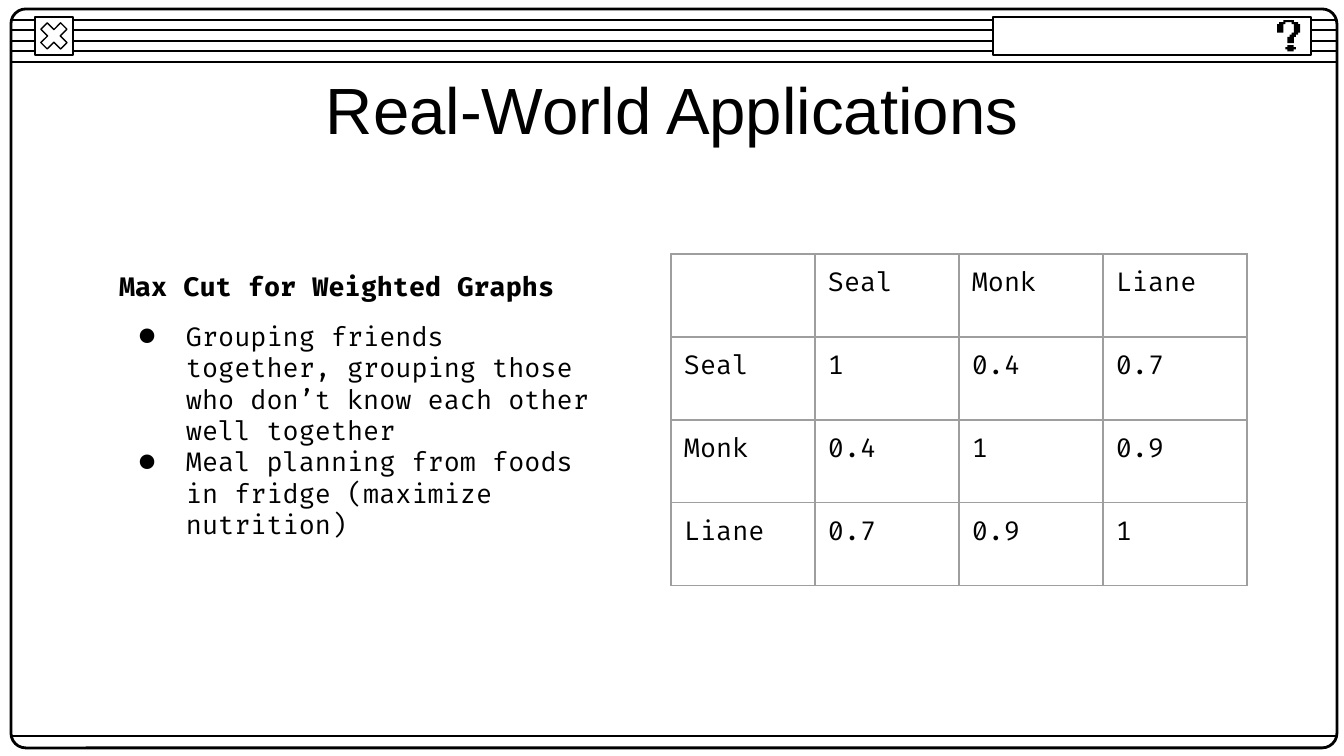
"""Build the Real-World Applications slide in a retro window frame."""
from lxml.etree import SubElement as Sub
from pptx import Presentation
from pptx.dml.color import RGBColor as Rgb
from pptx.enum.shapes import MSO_CONNECTOR as Link, MSO_SHAPE as Kind
from pptx.enum.text import MSO_ANCHOR as Anchor, PP_ALIGN as Align
from pptx.oxml.ns import qn
from pptx.util import Emu, Pt

SCALE = 914400 / 134.4
CELL = 2.1
INK = {"black": "000000", "white": "FFFFFF", "grey": "9E9E9E"}
CODE = "Fira Code"

HOOK = [(3, 0), (3, 1), (1, 1), (1, 2), (0, 2), (0, 6), (3, 6), (3, 2),
        (4, 2), (4, 1), (7, 1), (7, 2), (8, 2), (8, 6), (7, 6), (7, 7),
        (6, 7), (6, 8), (5, 8), (5, 11), (8, 11), (8, 8), (9, 8), (9, 7),
        (10, 7), (10, 6), (11, 6), (11, 2), (10, 2), (10, 1), (8, 1), (8, 0)]
DOT = [(5, 12), (5, 13), (4, 13), (4, 14), (5, 14), (5, 15),
       (8, 15), (8, 14), (9, 14), (9, 13), (8, 13), (8, 12)]
ITEMS = ["Grouping friends together, grouping those who don’t know each other well together",
         "Meal planning from foods in fridge (maximize nutrition)"]
ROWS = [["", "Seal", "Monk", "Liane"],
        ["Seal", "1", "0.4", "0.7"],
        ["Monk", "0.4", "1", "0.9"],
        ["Liane", "0.7", "0.9", "1"]]


def px(size):
    return Emu(round(size * SCALE))


def ink(name):
    return Rgb.from_string(INK[name])


def put(para, text, size=14, font=CODE, bold=False, align=Align.LEFT, before=0):
    para.alignment = align
    para.space_before = Pt(before)
    run = para.add_run()
    run.text = text
    run.font.size = Pt(size)
    run.font.name = font
    run.font.bold = bold
    run.font.color.rgb = ink("black")


def bullet(para):
    props = para._p.get_or_add_pPr()
    props.set("marL", str(px(67)))
    props.set("indent", str(px(-47)))
    tint = Sub(props, qn("a:buClr"))
    Sub(tint, qn("a:srgbClr"), val=INK["black"])
    Sub(props, qn("a:buFont"), typeface=CODE)
    Sub(props, qn("a:buChar"), char="●")


def pad(area, foot=13):
    area.margin_left = area.margin_right = area.margin_top = px(13)
    area.margin_bottom = px(foot)


def text_box(slide, x, y, w, h, foot=13):
    frame = slide.shapes.add_textbox(*map(px, (x, y, w, h))).text_frame
    frame.word_wrap = True
    frame.vertical_anchor = Anchor.MIDDLE
    pad(frame, foot)
    return frame


def rule(slide, y):
    line = slide.shapes.add_connector(Link.STRAIGHT, px(11), px(y), px(1337), px(y))
    line.line.color.rgb = ink("black")
    line.line.width = Pt(0.75)
    Sub(line._element.spPr, qn("a:effectLst"))


def panel(slide, kind, x, y, w, h, fill="white", width=0.75, adj=None):
    shape = slide.shapes.add_shape(kind, *map(px, (x, y, w, h)))
    shape.shadow.inherit = False
    if fill:
        shape.fill.solid()
        shape.fill.fore_color.rgb = ink(fill)
    else:
        shape.fill.background()
    shape.line.color.rgb = ink("black")
    shape.line.width = Pt(width)
    if adj is not None:
        shape.adjustments[0] = adj


def glyph(slide, points, x, y):
    path = slide.shapes.build_freeform(*points[0], scale=CELL * SCALE)
    path.add_line_segments(points[1:], close=True)
    shape = path.convert_to_shape(px(x), px(y))
    shape.shadow.inherit = False
    shape.fill.solid()
    shape.fill.fore_color.rgb = ink("black")
    shape.line.fill.background()


def border(cell):
    props = cell._tc.get_or_add_tcPr()
    for side in "LRTB":
        edge = Sub(props, qn(f"a:ln{side}"), w=str(Pt(0.75)))
        fill = Sub(edge, qn("a:solidFill"))
        Sub(fill, qn("a:srgbClr"), val=INK["grey"])


def grid(slide, rows, x, y, w, h):
    count, wide = len(rows), len(rows[0])
    frame = slide.shapes.add_table(count, wide, px(x), px(y), px(w * wide), px(h * count))
    table = frame.table
    table.first_row = table.horz_banding = False
    for r, row in enumerate(rows):
        for c, text in enumerate(row):
            cell = table.cell(r, c)
            pad(cell)
            border(cell)
            cell.fill.background()
            if text:
                put(cell.text_frame.paragraphs[0], text)


def window(slide):
    for i in range(5):
        rule(slide, 20 + i * 42 // 4)
    panel(slide, Kind.ROUNDED_RECTANGLE, 11, 9, 1326, 739, fill=None, width=1.5, adj=0.02)
    panel(slide, Kind.RECTANGLE, 35, 17, 38, 38)
    panel(slide, Kind.MATH_MULTIPLY, 35, 17, 38, 38, adj=0.235)
    rule(slide, 736)
    panel(slide, Kind.RECTANGLE, 993, 17, 318, 38)
    for points in (HOOK, DOT):
        glyph(slide, points, 1277, 20)


def main():
    deck = Presentation()
    deck.slide_width, deck.slide_height = px(1344), px(756)
    slide = deck.slides.add_slide(deck.slide_layouts[6])
    window(slide)
    title = text_box(slide, 106, 66, 1133, 84)
    put(title.paragraphs[0], "Real-World Applications", size=35, font="Arial",
        align=Align.CENTER)
    body = text_box(slide, 106, 169, 500, 503, foot=44)
    put(body.paragraphs[0], "Max Cut for Weighted Graphs", bold=True)
    for i, item in enumerate(ITEMS):
        para = body.add_paragraph()
        put(para, item, before=0 if i else 10)
        bullet(para)
    grid(slide, ROWS, 671, 254, 144, 83)
    deck.save("out.pptx")


if __name__ == "__main__":
    main()
